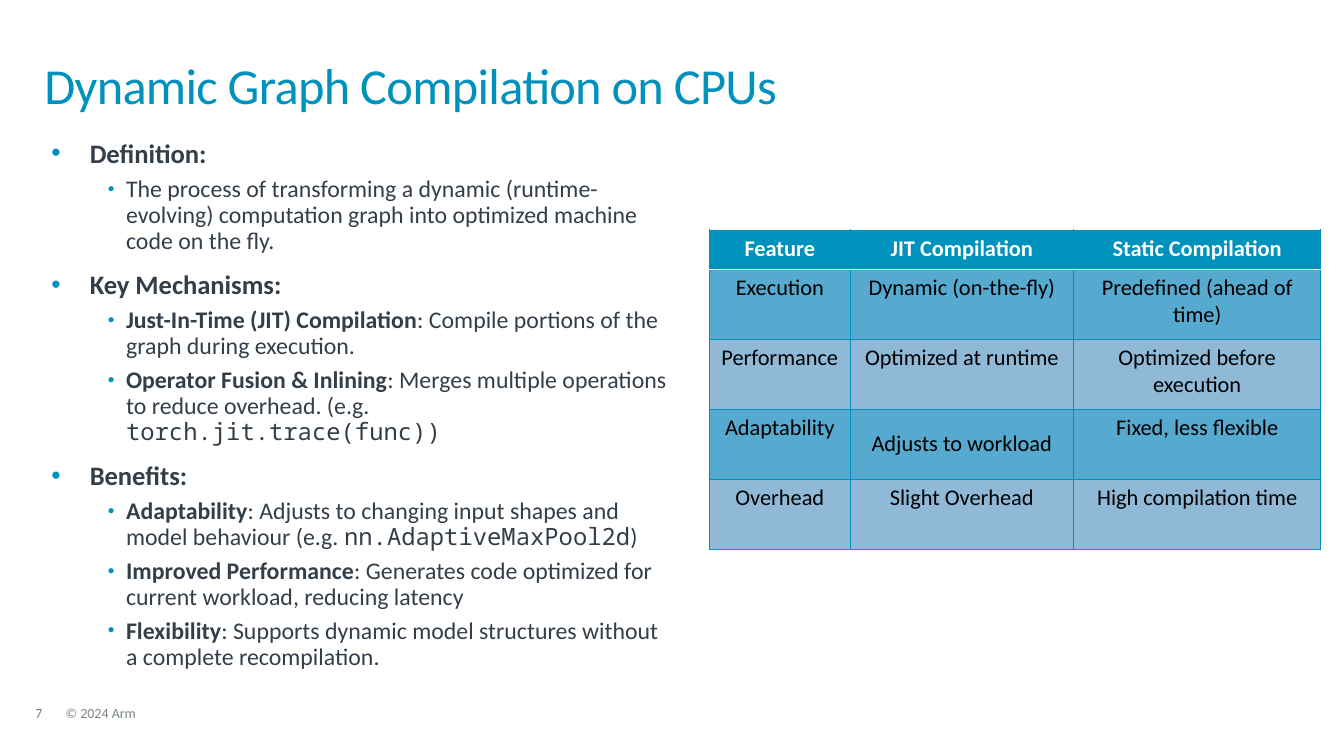
import dataclasses

import pptx
import pptx.dml.color
import pptx.enum.text
import pptx.oxml
import pptx.oxml.ns
import pptx.util

Inches, Pt = pptx.util.Inches, pptx.util.Pt
Align = pptx.enum.text.PP_ALIGN
Anchor = pptx.enum.text.MSO_ANCHOR


@dataclasses.dataclass
class Theme:
    wide: float = 13.33
    high: float = 7.5
    blue: str = "0091BD"
    ink: str = "333E48"
    white: str = "FFFFFF"
    black: str = "000000"
    bands: tuple = ("56A9CF", "90B9D7")
    page: str = "7F7F7F"
    foot: str = "7D868C"
    sans: str = "Calibri"
    mono: str = "Noto Sans Mono"
    title: float = 36
    head: float = 19
    item: float = 17
    cell: float = 16
    small: float = 10


# Text of the left column: level, then runs of (kind, text)
POINTS = [
    (0, [("bold", "Definition:")]),
    (1, [("plain", "The process of transforming a dynamic (runtime-evolving) "
                   "computation graph into optimized machine code on the fly.")]),
    (0, [("bold", "Key Mechanisms:")]),
    (1, [("bold", "Just-In-Time (JIT) Compilation"),
         ("plain", ": Compile portions of the graph during execution.")]),
    (1, [("bold", "Operator Fusion & Inlining"),
         ("plain", ": Merges multiple operations to reduce overhead. (e.g. "),
         ("code", "torch.jit.trace(func))")]),
    (0, [("bold", "Benefits:")]),
    (1, [("bold", "Adaptability"),
         ("plain", ": Adjusts to changing input shapes and model behaviour (e.g. "),
         ("code", "nn.AdaptiveMaxPool2d"), ("plain", ")")]),
    (1, [("bold", "Improved Performance"),
         ("plain", ": Generates code optimized for current workload, reducing latency")]),
    (1, [("bold", "Flexibility"),
         ("plain", ": Supports dynamic model structures without a complete recompilation.")]),
]

ROWS = [
    ("Feature", "JIT Compilation", "Static Compilation"),
    ("Execution", "Dynamic (on-the-fly)", "Predefined (ahead of time)"),
    ("Performance", "Optimized at runtime", "Optimized before execution"),
    ("Adaptability", "Adjusts to workload", "Fixed, less flexible"),
    ("Overhead", "Slight Overhead", "High compilation time"),
]


def tint(code):
    return pptx.dml.color.RGBColor.from_string(code)


def put(thing, form):
    for name, value in form.items():
        setattr(thing, name, value)


def node(xml):
    return pptx.oxml.parse_xml(xml.replace(" ", f" {pptx.oxml.ns.nsdecls('a')} ", 1))


@dataclasses.dataclass
class Deck:
    look: Theme
    slide: object

    # Lengths are percent of the slide's width or height
    def x(self, share):
        return Inches(self.look.wide * share / 100)

    def y(self, share):
        return Inches(self.look.high * share / 100)

    def area(self, left, top, width, height):
        return self.x(left), self.y(top), self.x(width), self.y(height)

    def frame(self, shape, anchor=Anchor.TOP):
        frame = shape.text_frame
        put(frame, dict(margin_left=0, margin_right=0, margin_top=0, margin_bottom=0,
                        word_wrap=True, vertical_anchor=anchor,
                        auto_size=pptx.enum.text.MSO_AUTO_SIZE.NONE))
        return frame

    def run(self, para, text, size, color, bold=False, face=None):
        run = para.add_run()
        run.text = text
        put(run.font, dict(size=Pt(size), bold=bold, name=face or self.look.sans))
        run.font.color.rgb = tint(color)
        return run

    def title(self, text, area):
        shape = self.slide.shapes.title
        put(shape, dict(zip(("left", "top", "width", "height"), self.area(*area))))
        para = self.frame(shape, Anchor.MIDDLE).paragraphs[0]
        put(para, dict(alignment=Align.LEFT, line_spacing=0.85, space_before=Pt(0)))
        run = self.run(para, text, self.look.title, self.look.blue)
        run.font._element.set("spc", "-50")

    def label(self, text, area, color):
        box = self.slide.shapes.add_textbox(*self.area(*area))
        para = self.frame(box).paragraphs[0]
        para.line_spacing = 0.9
        self.run(para, text, self.look.small, color)

    def bullet(self, para, level):
        left, hang, size = ((0.38, 0.38, 100), (0.74, 0.18, 80))[level]
        props = para._p.get_or_add_pPr()
        props.set("marL", str(Inches(left)))
        props.set("indent", str(-Inches(hang)))
        for xml in (f'<a:buClr ><a:srgbClr val="{self.look.blue}"/></a:buClr>',
                    f'<a:buSzPct val="{size * 1000}"/>',
                    '<a:buFont typeface="Arial"/>',
                    '<a:buChar char="•"/>'):
            props.append(node(xml))

    def points(self, items, area):
        look = self.look
        kinds = dict(bold=dict(bold=True), plain={}, code=dict(face=look.mono))
        frame = self.frame(self.slide.shapes.add_textbox(*self.area(*area)))
        for i, (level, runs) in enumerate(items):
            para = frame.add_paragraph() if i else frame.paragraphs[0]
            self.bullet(para, level)
            before = 6 if i and level == 0 else 0
            put(para, dict(level=level, line_spacing=0.9,
                           space_before=Pt(before), space_after=Pt(6)))
            for kind, text in runs:
                self.run(para, text, (look.head, look.item)[level], look.ink, **kinds[kind])

    def edges(self, cell, row):
        props = cell._tc.get_or_add_tcPr()
        for i, side in enumerate("LRTB"):
            rule = (row, side) in ((0, "B"), (1, "T"))
            color, width = (self.look.white, 1) if rule else (self.look.blue, 0.5)
            props.insert(i, node(
                f'<a:ln{side} w="{Pt(width)}"><a:solidFill>'
                f'<a:srgbClr val="{color}"/></a:solidFill></a:ln{side}>'))

    def table(self, rows, left, top, widths, heights):
        look = self.look
        area = self.area(left, top, sum(widths), sum(heights))
        table = self.slide.shapes.add_table(len(rows), len(widths), *area).table
        put(table, dict(first_row=False, horz_banding=False))
        for column, width in zip(table.columns, widths):
            column.width = self.x(width)
        for r, texts in enumerate(rows):
            table.rows[r].height = self.y(heights[r])
            for c, text in enumerate(texts):
                cell = table.cell(r, c)
                cell.fill.solid()
                cell.fill.fore_color.rgb = tint(look.bands[(r - 1) % 2] if r else look.blue)
                self.edges(cell, r)
                para = cell.text_frame.paragraphs[0]
                para.alignment = Align.CENTER
                self.run(para, text, look.cell, look.black if r else look.white, r == 0)
        return table


def main():
    look = Theme()
    show = pptx.Presentation()
    put(show, dict(slide_width=Inches(look.wide), slide_height=Inches(look.high)))
    deck = Deck(look, show.slides.add_slide(show.slide_layouts[5]))

    # Footer
    deck.label("7", (2.63, 93.47, 2.1, 2), look.page)
    deck.label("© 2024 Arm", (4.88, 93.47, 38, 2), look.foot)

    # Title and bullet points
    deck.title("Dynamic Graph Compilation on CPUs", (3.3, 6.93, 92.12, 9.6))
    deck.points(POINTS, (3.83, 18.53, 46.21, 72.13))

    # Comparison table
    table = deck.table(ROWS, 52.81, 30.4, (10.43, 16.65, 18.38), [5.2] + [9.26] * 4)
    table.cell(3, 1).vertical_anchor = Anchor.MIDDLE

    show.save("out.pptx")


if __name__ == "__main__":
    main()
